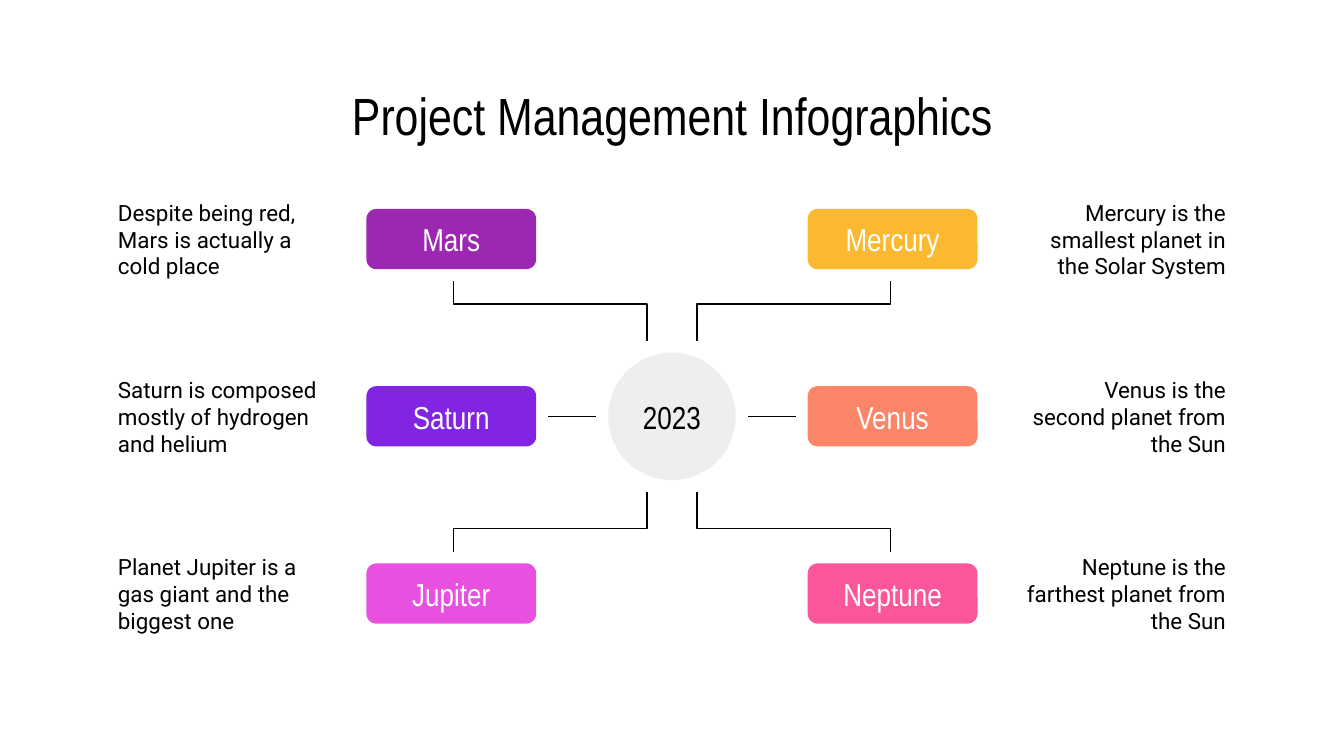
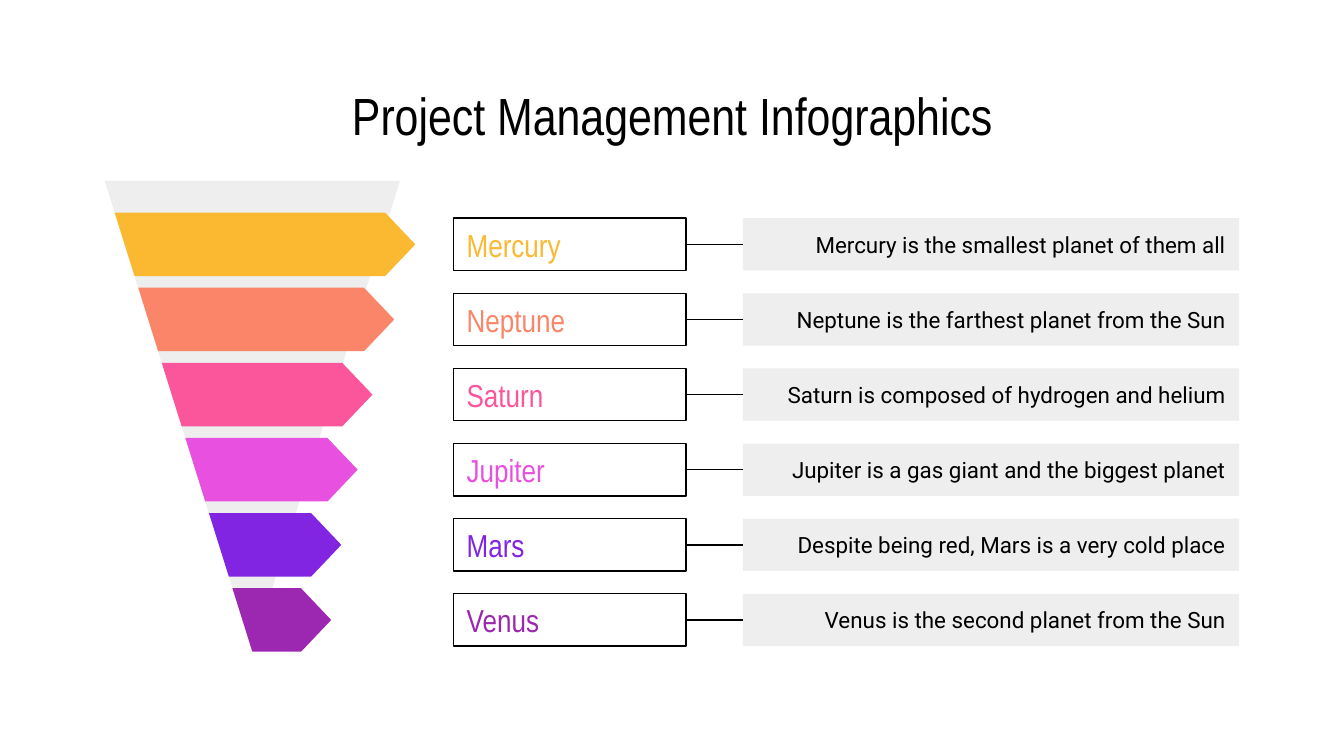
"""Build two project management infographics: a hub diagram and a funnel."""
from dataclasses import dataclass
from typing import Any

from lxml import etree
from pptx import Presentation
from pptx.dml.color import RGBColor
from pptx.enum.shapes import MSO_CONNECTOR, MSO_SHAPE
from pptx.enum.text import MSO_ANCHOR, MSO_AUTO_SIZE, PP_ALIGN
from pptx.oxml.ns import qn
from pptx.util import Cm, Pt

STRAIGHT = MSO_CONNECTOR.STRAIGHT
PILL, CIRCLE, BOX = MSO_SHAPE.ROUNDED_RECTANGLE, MSO_SHAPE.OVAL, MSO_SHAPE.RECTANGLE
LEFT, CENTER, RIGHT = PP_ALIGN.LEFT, PP_ALIGN.CENTER, PP_ALIGN.RIGHT
SIDE_LEFT, SIDE_RIGHT = 1, 3
TITLE_ONLY = 5

COLORS = {
    "black": "000000", "white": "FFFFFF", "gray": "EEEEEE",
    "yellow": "FBB831", "coral": "FB8569", "pink": "FB569C",
    "magenta": "E850E0", "violet": "8225E2", "purple": "9C27B0",
}
FRAME_FORMAT = {
    "word_wrap": True, "auto_size": MSO_AUTO_SIZE.NONE, "vertical_anchor": MSO_ANCHOR.MIDDLE,
    "margin_left": Cm(0.25), "margin_right": Cm(0.25),
    "margin_top": Cm(0.25), "margin_bottom": Cm(0.25),
}
TITLE_FONT = {"name": "Arial Narrow", "size": Pt(28), "bold": False}
NAME_FONT = {"name": "Arial Narrow", "size": Pt(17)}
BODY_FONT = {"name": "Roboto", "size": Pt(12)}

TITLE = "Project Management Infographics"
PAGE_WIDTH, PAGE_HEIGHT, MARGIN = 25.4, 14.29, 1.98

HUB_X, HUB_Y, HUB_SIZE = PAGE_WIDTH / 2, 7.87, 2.41
HUB_PITCH = 3.35
PILL_WIDTH, PILL_HEIGHT, PILL_OFFSET = 3.21, 1.14, 4.17
CAPTION_WIDTH, CAPTION_HEIGHT = 4.27, 2.08
SPOKE = [(-1.44, 0), (-2.34, 0)]
ELBOW = [(-0.47, 1.43), (-0.47, 2.12), (-4.13, 2.12), (-4.13, 2.56)]

FUNNEL_TOP, FUNNEL_BOTTOM, FUNNEL_RIGHT, FUNNEL_TIP = 3.42, 12.32, 7.56, 4.77
FIRST_ROW, ROW_PITCH = 4.62, 1.42
ARROW_HEIGHT, ARROW_HEAD = 1.2, 0.57
ROW_HEIGHT, LABEL_X, LABEL_WIDTH = 0.99, 8.57, 4.4
BAR_X, BAR_WIDTH = 14.04, 9.38


@dataclass(frozen=True)
class Branch:
    """A planet on one side (-1 left, 1 right) and row (-1 to 1) of the hub."""
    name: str
    caption: str
    color: str
    side: int
    row: int


@dataclass(frozen=True)
class Stage:
    """A funnel arrow with its tip position, label and description."""
    name: str
    text: str
    color: str
    tip: float


BRANCHES = [
    Branch("Mars", "Despite being red, Mars is actually a cold place", "purple", -1, -1),
    Branch("Saturn", "Saturn is composed mostly of hydrogen and helium", "violet", -1, 0),
    Branch("Jupiter", "Planet Jupiter is a gas giant and the biggest one", "magenta", -1, 1),
    Branch("Mercury", "Mercury is the smallest planet in the Solar System", "yellow", 1, -1),
    Branch("Venus", "Venus is the second planet from the Sun", "coral", 1, 0),
    Branch("Neptune", "Neptune is the farthest planet from the Sun", "pink", 1, 1),
]
STAGES = [
    Stage("Mercury", "Mercury is the smallest planet of them all", "yellow", 7.85),
    Stage("Neptune", "Neptune is the farthest planet from the Sun", "coral", 7.45),
    Stage("Saturn", "Saturn is composed of hydrogen and helium", "pink", 7.04),
    Stage("Jupiter", "Jupiter is a gas giant and the biggest planet", "magenta", 6.76),
    Stage("Mars", "Despite being red, Mars is a very cold place", "violet", 6.45),
    Stage("Venus", "Venus is the second planet from the Sun", "purple", 6.26),
]


def rgb(color: str) -> RGBColor:
    """Return the named colour."""
    return RGBColor.from_string(COLORS[color])


def set_values(target: Any, values: dict[str, Any]) -> None:
    """Set every format value on the target."""
    for name, value in values.items():
        setattr(target, name, value)


def write(shape: Any, text: str, font: dict[str, Any], color: str, align: Any) -> None:
    """Write one formatted paragraph into a shape."""
    set_values(shape.text_frame, FRAME_FORMAT)
    para = shape.text_frame.paragraphs[0]
    para.alignment = align
    span = para.add_run()
    span.text = text
    set_values(span.font, font)
    span.font.color.rgb = rgb(color)


def draw_line(line: Any) -> None:
    """Give a line the shared thin black stroke."""
    line.color.rgb = rgb("black")
    line.width = Pt(0.75)


def paint(shape: Any, fill: str | None) -> None:
    """Fill a shape without outline, or outline it when there is no fill."""
    shape.shadow.inherit = False
    if fill:
        shape.fill.solid()
        shape.fill.fore_color.rgb = rgb(fill)
        shape.line.fill.background()
    else:
        shape.fill.background()
        draw_line(shape.line)


def add_box(page: Any, kind: Any, left: float, middle: float, width: float,
            height: float, fill: str | None) -> Any:
    """Add a preset shape centred vertically on middle."""
    box = page.shapes.add_shape(kind, Cm(left), Cm(middle - height / 2), Cm(width), Cm(height))
    paint(box, fill)
    return box


def add_outline(page: Any, points: list[tuple[float, float]], fill: str | None) -> None:
    """Add a closed filled outline, or an open stroke when there is no fill."""
    start, *others = [(Cm(x), Cm(y)) for x, y in points]
    builder = page.shapes.build_freeform(*start)
    builder.add_line_segments(others, close=fill is not None)
    paint(builder.convert_to_shape(), fill)


def add_line(page: Any, start: tuple[float, float], end: tuple[float, float]) -> Any:
    """Add a straight connector without shadow."""
    line = page.shapes.add_connector(STRAIGHT, *(Cm(value) for value in (*start, *end)))
    draw_line(line.line)
    etree.SubElement(line._element.spPr, qn("a:effectLst"))
    return line


def add_page(deck: Any) -> Any:
    """Add a page with the shared title."""
    page = deck.slides.add_slide(deck.slide_layouts[TITLE_ONLY])
    title = page.shapes.title
    set_values(title, {"left": Cm(MARGIN), "top": Cm(1.5),
                       "width": Cm(PAGE_WIDTH - 2 * MARGIN), "height": Cm(1.35)})
    write(title, TITLE, TITLE_FONT, "black", CENTER)
    return page


def add_branch(page: Any, branch: Branch) -> None:
    """Add a planet's pill, its link to the hub and its caption."""
    middle = HUB_Y + branch.row * HUB_PITCH
    pill_x = HUB_X + branch.side * PILL_OFFSET - PILL_WIDTH / 2
    pill = add_box(page, PILL, pill_x, middle, PILL_WIDTH, PILL_HEIGHT, branch.color)
    write(pill, branch.name, NAME_FONT, "white", CENTER)

    offsets = ELBOW if branch.row else SPOKE
    points = [(HUB_X - branch.side * x, HUB_Y + branch.row * y) for x, y in offsets]
    if branch.row:
        add_outline(page, points, None)
    else:
        add_line(page, *points)

    on_left = branch.side < 0
    caption_x = MARGIN if on_left else PAGE_WIDTH - MARGIN - CAPTION_WIDTH
    caption = page.shapes.add_textbox(Cm(caption_x), Cm(middle - CAPTION_HEIGHT / 2),
                                      Cm(CAPTION_WIDTH), Cm(CAPTION_HEIGHT))
    write(caption, branch.caption, BODY_FONT, "black", LEFT if on_left else RIGHT)


def build_hub(deck: Any) -> None:
    """Build the page with planets around a year."""
    page = add_page(deck)
    hub = add_box(page, CIRCLE, HUB_X - HUB_SIZE / 2, HUB_Y, HUB_SIZE, HUB_SIZE, "gray")
    write(hub, "2023", NAME_FONT, "black", CENTER)
    for branch in BRANCHES:
        add_branch(page, branch)


def funnel_edge(y: float) -> float:
    """Return the x of the funnel's left edge at a height."""
    share = (y - FUNNEL_TOP) / (FUNNEL_BOTTOM - FUNNEL_TOP)
    return MARGIN + share * (FUNNEL_TIP - MARGIN)


def add_stage(page: Any, stage: Stage, middle: float) -> None:
    """Add a funnel arrow with its joined label and description bar."""
    top, bottom = middle - ARROW_HEIGHT / 2, middle + ARROW_HEIGHT / 2
    shoulder = stage.tip - ARROW_HEAD
    add_outline(page, [(funnel_edge(top), top), (funnel_edge(bottom), bottom),
                       (shoulder, bottom), (stage.tip, middle), (shoulder, top)], stage.color)
    label = add_box(page, BOX, LABEL_X, middle, LABEL_WIDTH, ROW_HEIGHT, None)
    write(label, stage.name, NAME_FONT, stage.color, LEFT)
    bar = add_box(page, BOX, BAR_X, middle, BAR_WIDTH, ROW_HEIGHT, "gray")
    write(bar, stage.text, BODY_FONT, "black", RIGHT)
    link = add_line(page, (LABEL_X + LABEL_WIDTH, middle), (BAR_X, middle))
    link.begin_connect(label, SIDE_RIGHT)
    link.end_connect(bar, SIDE_LEFT)


def build_funnel(deck: Any) -> None:
    """Build the page with the funnel and its rows."""
    page = add_page(deck)
    add_outline(page, [(MARGIN, FUNNEL_TOP), (FUNNEL_RIGHT, FUNNEL_TOP),
                       (FUNNEL_TIP, FUNNEL_BOTTOM)], "gray")
    for index, stage in enumerate(STAGES):
        add_stage(page, stage, FIRST_ROW + index * ROW_PITCH)


def main() -> None:
    """Build and save the deck."""
    deck = Presentation()
    set_values(deck, {"slide_width": Cm(PAGE_WIDTH), "slide_height": Cm(PAGE_HEIGHT)})
    build_hub(deck)
    build_funnel(deck)
    deck.save("out.pptx")


if __name__ == "__main__":
    main()
